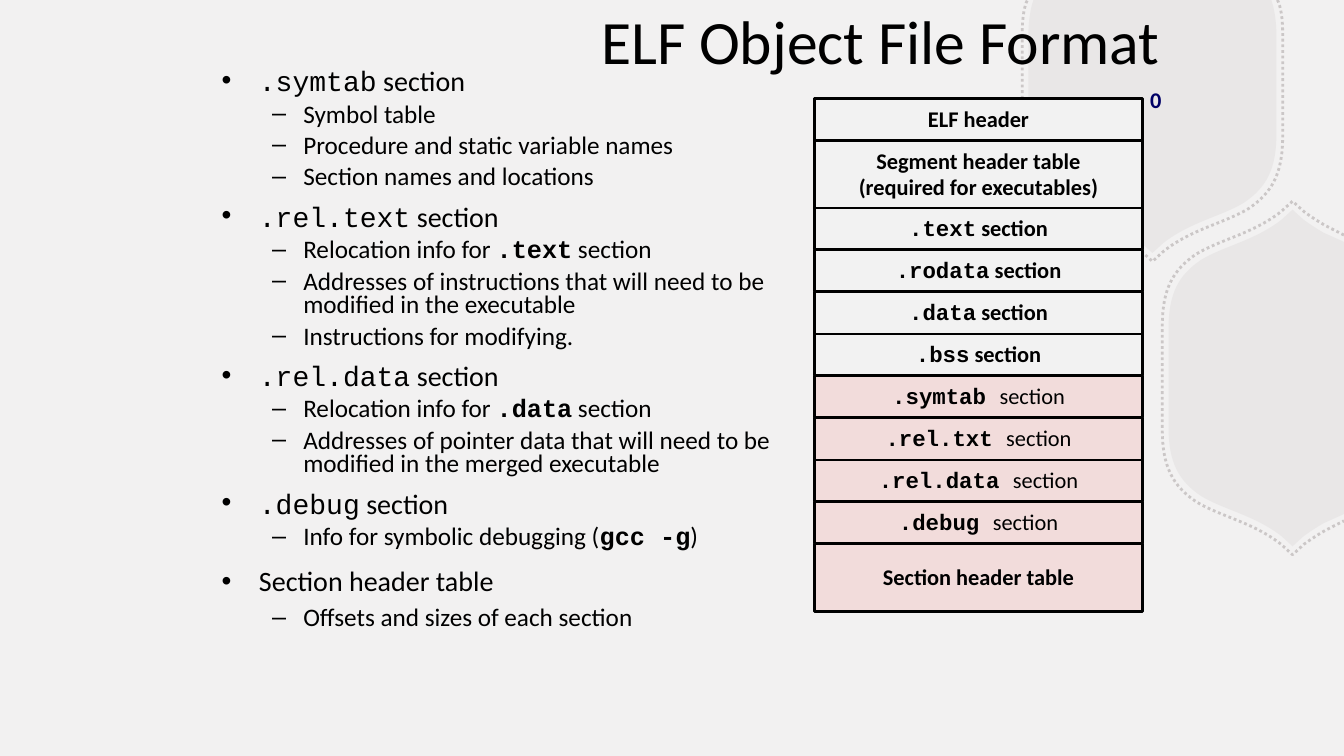
from lxml import etree
from pptx import Presentation
from pptx import util as u
from pptx.dml.color import RGBColor
from pptx.enum import dml, shapes, text
from pptx.oxml import ns

WIDTH, HEIGHT = 13.33, 7.5
BODY_FONT, CODE_FONT, BULLET_FONT = "Calibri", "Courier New", "Arial"
BLACK, GREY, PAPER, PINK = "000000", "B8B2B2", "F2F2F2", "F2DCDB"

# Table of sections: left edge, top edge, width and height of one row
TABLE_LEFT, TABLE_TOP, TABLE_WIDTH, ROW = 8.08, 0.98, 3.25, 5 / 12

# Label (backticks enclose code), height in rows, fill, bold words
SECTIONS = [
    ("ELF header", 1, PAPER, True),
    ("Segment header table\n(required for executables)", 1.6, PAPER, True),
    ("`.text` section", 1, PAPER, True),
    ("`.rodata` section", 1, PAPER, True),
    ("`.data` section", 1, PAPER, True),
    ("`.bss` section", 1, PAPER, True),
    ("`.symtab `section", 1, PINK, False),
    ("`.rel.txt `section", 1, PINK, False),
    ("`.rel.data `section", 1, PINK, False),
    ("`.debug `section", 1, PINK, False),
    ("Section header table", 1.6, PINK, True),
]

# Heading, its points, and the line spacing of heading and points
TOPICS = [
    ("`.symtab` section",
     ["Symbol table", "Procedure and static variable names",
      "Section names and locations"], (0.71, 0.78)),
    ("`.rel.text` section",
     ["Relocation info for `.text` section",
      "Addresses of instructions that will need to be modified in the executable",
      "Instructions for modifying."], (0.71, 0.78)),
    ("`.rel.data` section",
     ["Relocation info for `.data` section",
      "Addresses of pointer data that will need to be modified in the merged executable"],
     (0.71, 0.78)),
    ("`.debug` section", ["Info for symbolic debugging (`gcc -g`)"], (0.71, 0.78)),
    ("Section header table", ["Offsets and sizes of each section"], (0.88, 0.88)),
]

# Hexagons: center, mirror factors of the second half, and the first half as
# segments around the center; one point is a line, three points are a curve
HEXAGONS = [
    ((11.43, 0.84), (-1, 1), [
        [(1.18, -0.84)],
        [(1.21, -0.75), (1.23, -0.63), (1.23, -0.49)],
        [(1.23, 0.49)],
        [(1.23, 0.84), (1.13, 1.02), (0.91, 1.17)],
        [(0.68, 1.31), (0.38, 1.36), (0.11, 1.57)],
        [(0, 1.67)]]),
    ((12.82, 3.75), (1, -1), [
        [(0.51, -1.35)],
        [(0.31, -1.44)],
        [(0.24, -1.48), (0.18, -1.52), (0.11, -1.57)],
        [(0, -1.67)],
        [(-0.11, -1.57)],
        [(-0.38, -1.36), (-0.68, -1.31), (-0.91, -1.17)],
        [(-1.13, -1.02), (-1.23, -0.84), (-1.23, -0.49)],
        [(-1.23, 0)]]),
]


def color(value):
    return RGBColor.from_string(value)


def write(paragraph, content, size=16, fill=BLACK, bold=False, code_bold=True,
          align=None, spacing=None, before=None):
    """Writes content; the parts between backticks are set as code."""
    paragraph.alignment = align
    paragraph.line_spacing = spacing
    if before is not None:
        paragraph.space_before = u.Pt(before)
    for index, part in enumerate(content.split("`")):
        if part:
            is_code = index % 2 == 1
            run = paragraph.add_run()
            run.text = part
            run.font.name = CODE_FONT if is_code else BODY_FONT
            run.font.size = u.Pt(size)
            run.font.bold = code_bold if is_code else bold
            run.font.color.rgb = color(fill)


def add_bullet(paragraph, symbol, margin, indent):
    properties = paragraph._p.get_or_add_pPr()
    properties.set("marL", str(u.Inches(margin)))
    properties.set("indent", str(u.Inches(indent)))
    etree.SubElement(properties, ns.qn("a:buFont"), typeface=BULLET_FONT)
    etree.SubElement(properties, ns.qn("a:buChar"), char=symbol)


def set_opacity(fill, percent):
    target = fill._xPr.find(".//" + ns.qn("a:srgbClr"))
    etree.SubElement(target, ns.qn("a:alpha"), val=str(percent * 1000))


def add_text_box(slide, left, top, width, height, wrap=True):
    box = slide.shapes.add_textbox(*map(u.Inches, (left, top, width, height)))
    box.text_frame.word_wrap = wrap
    return box.text_frame


# Background hexagons
def draw_hexagon(slide, center, mirror, half, scale, closed):
    points = [point for segment in half for point in segment]
    points += [(x * mirror[0], y * mirror[1]) for x, y in points[-2::-1]]
    counts = [len(segment) for segment in half[1:]]
    # Scale around the center and keep within the slide
    points = [(u.Inches(min(center[0] + scale * x, WIDTH)),
               u.Inches(max(center[1] + scale * y, 0))) for x, y in points]
    builder = slide.shapes.build_freeform(*points[0])
    builder.add_line_segments(points[1:], close=closed)
    shape = builder.convert_to_shape()
    shape.shadow.inherit = False
    # Join the three lines of each curve into one Bezier segment
    lines = iter(shape._element.findall(".//" + ns.qn("a:lnTo")))
    for count in counts + counts[::-1]:
        first, *others = [next(lines) for _ in range(count)]
        if others:
            first.tag = ns.qn("a:cubicBezTo")
            for line in others:
                first.append(line[0])
                line.getparent().remove(line)
    return shape


def add_hexagon(slide, center, mirror, half):
    shape = draw_hexagon(slide, center, mirror, half, 1, True)
    shape.fill.solid()
    shape.fill.fore_color.rgb = color(GREY)
    set_opacity(shape.fill, 15)
    shape.line.fill.background()


def add_dotted_border(slide, center, mirror, half):
    shape = draw_hexagon(slide, center, mirror, half, 1.05, False)
    shape.fill.background()
    shape.line.width = u.Pt(2)
    shape.line.color.rgb = color(GREY)
    shape.line.dash_style = dml.MSO_LINE.ROUND_DOT
    set_opacity(shape.line.fill, 65)


# Content
def add_title(slide, content):
    title = slide.shapes.title
    title.left, title.top = u.Inches(4.14), 0
    title.width, title.height = u.Inches(WIDTH - 4.14), u.Inches(0.8)
    title.text_frame.vertical_anchor = text.MSO_ANCHOR.MIDDLE
    write(title.text_frame.paragraphs[0], content, size=44, align=text.PP_ALIGN.CENTER)


def add_topics(slide):
    frame = add_text_box(slide, 2.1, 0.67, 5.77, 6.12)
    for number, (heading, points, (heading_spacing, point_spacing)) in enumerate(TOPICS):
        paragraph = frame.add_paragraph() if number else frame.paragraphs[0]
        add_bullet(paragraph, "•", 0.37, -0.37)
        write(paragraph, heading, size=20, code_bold=False,
              spacing=heading_spacing, before=12.5 if number else 0)
        for point in points:
            paragraph = frame.add_paragraph()
            paragraph.level = 1
            add_bullet(paragraph, "–", 0.81, -0.31)
            write(paragraph, point, size=18, spacing=point_spacing, before=5.6)


def add_section(slide, top, height, label, fill, bold):
    shape = slide.shapes.add_shape(
        shapes.MSO_SHAPE.RECTANGLE,
        *map(u.Inches, (TABLE_LEFT, top, TABLE_WIDTH, height)))
    shape.shadow.inherit = False
    shape.fill.solid()
    shape.fill.fore_color.rgb = color(fill)
    shape.line.color.rgb = color(BLACK)
    shape.line.width = u.Pt(2)
    frame = shape.text_frame
    frame.word_wrap = False
    frame.vertical_anchor = text.MSO_ANCHOR.MIDDLE
    for number, line in enumerate(label.split("\n")):
        paragraph = frame.add_paragraph() if number else frame.paragraphs[0]
        write(paragraph, line, bold=bold, align=text.PP_ALIGN.CENTER,
              spacing=0.94 if "`" in line else 0.98)


def main():
    presentation = Presentation()
    presentation.slide_width, presentation.slide_height = u.Inches(WIDTH), u.Inches(HEIGHT)
    slide = presentation.slides.add_slide(presentation.slide_layouts[5])
    slide.background.fill.solid()
    slide.background.fill.fore_color.rgb = color("F2F1F1")

    for draw in (add_hexagon, add_dotted_border):
        for hexagon in HEXAGONS:
            draw(slide, *hexagon)
    # Bring the title in front of the hexagons
    slide.shapes._spTree.append(slide.shapes.title._element)
    add_title(slide, "ELF Object File Format")
    add_topics(slide)

    top = TABLE_TOP
    for label, rows, fill, bold in SECTIONS:
        add_section(slide, top, rows * ROW, label, fill, bold)
        top += rows * ROW
    offset = add_text_box(slide, 11.31, 0.82, 0.31, 0.37, wrap=False)
    write(offset.paragraphs[0], "0", fill="000066", bold=True, spacing=0.98)

    presentation.save("out.pptx")


if __name__ == "__main__":
    main()
